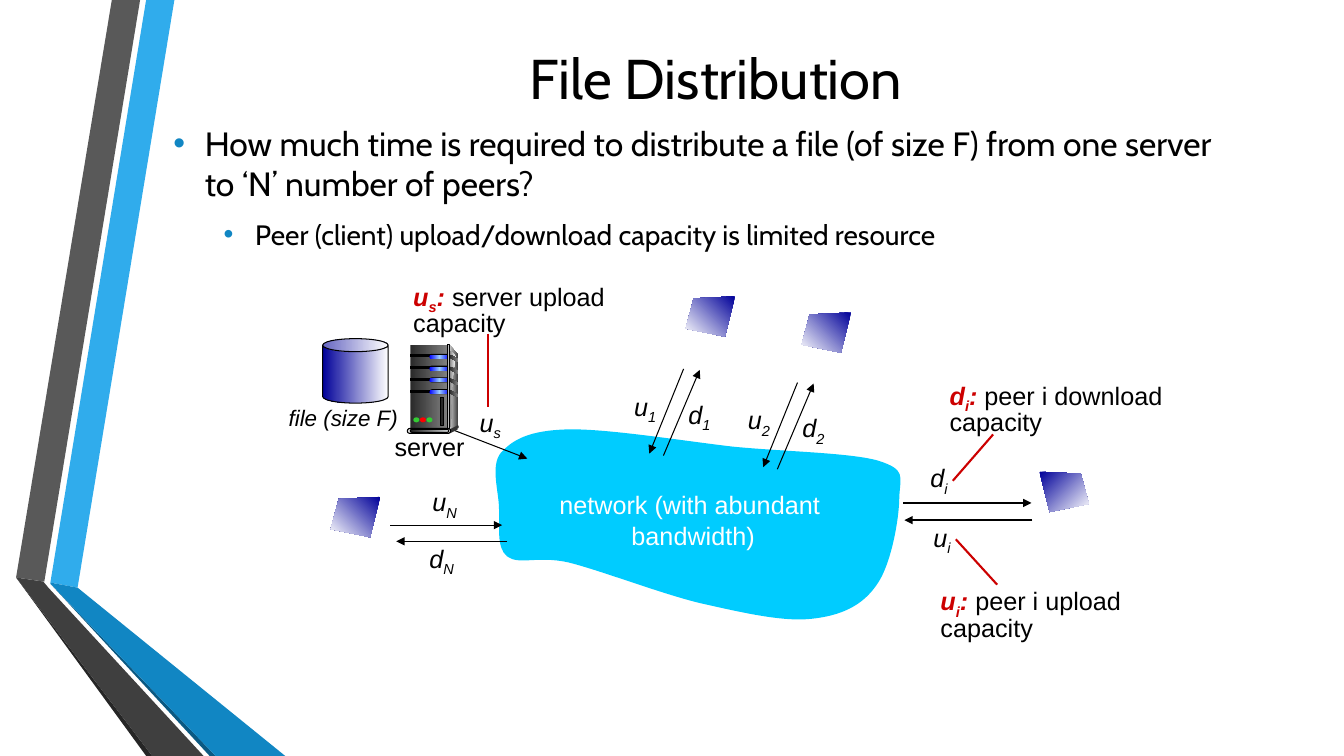
from copy import deepcopy

from lxml import etree
from pptx import Presentation, util as u
from pptx.dml import color
from pptx.enum import shapes as kinds, text as txt
from pptx.oxml import ns

HEX = dict(
    sky="30ACEC", blue="1186C3", deep="0B5982", grey="595959", dim="3F3F3F",
    coal="262626", cloud="00CCFF", navy="000099", white="FFFFFF", black="000000",
    red="CC0000", soot="292929", steel="808080", mist="DDDDDD", slate="333333",
    pale="F8F8F8", ink="212121", ash="CDD0D1", neon="0000FF", ice="99CCFF",
    green="33CC33", lamp="FF0000")

CELL = u.Inches(1)  # the grid has one-inch columns and rows
COLS, ROWS = 13.33, 7.5
MID = txt.PP_ALIGN.CENTER
KIND = kinds.MSO_SHAPE


def cells(*nums):
    return [u.Emu(round(n * CELL)) for n in nums]


def tint(name):
    return color.RGBColor.from_string(HEX[name])


def add(node, tag, **attrs):
    return etree.SubElement(node, ns.qn(tag), attrs)


def write(par, words, size=18, font="Arial", ink="black", bold=False, slant=False, sub=False):
    run = par.add_run()
    run.text = words
    face = run.font
    face.size, face.name, face.bold, face.italic = u.Pt(size), font, bold, slant
    face.color.rgb = tint(ink)
    if sub:
        run._r.get_or_add_rPr().set("baseline", "-25000")


class Board:
    def __init__(self, deck):
        self.slide = deck.slides.add_slide(deck.slide_layouts[6])
        self.all = self.slide.shapes

    def paint(self, shape, fill, line=None, angle=0):
        """Fill with one colour, or blend a list of them clockwise by angle."""
        shape.shadow.inherit = False
        if isinstance(fill, str):
            shape.fill.solid()
            shape.fill.fore_color.rgb = tint(fill)
        else:
            shape.fill.gradient()
            shape.fill.gradient_angle = (360 - angle) % 360
            stops = shape._element.spPr.find(".//" + ns.qn("a:gsLst"))
            for _ in fill[2:]:
                stops.append(deepcopy(stops[-1]))
            for k, stop in enumerate(shape.fill.gradient_stops):
                stop.position = k / (len(fill) - 1)
                stop.color.rgb = tint(fill[k])
        if line:
            shape.line.color.rgb, shape.line.width = tint(line), u.Pt(0.75)
        else:
            shape.line.fill.background()
        return shape

    def block(self, kind, x, y, w, h, fill, line=None, bend=None):
        shape = self.all.add_shape(kind, *cells(x, y, w, h))
        if bend is not None:
            shape.adjustments[0] = bend
        return self.paint(shape, fill, line)

    def outline(self, steps, fill, angle=0):
        """Draw a closed outline; a step of six numbers is a Bezier curve."""
        ends = [cells(*step[k:k + 2]) for step in steps for k in range(0, len(step), 2)]
        path = self.all.build_freeform(*ends[0], scale=1.0)
        path.add_line_segments(ends[1:], close=True)
        shape = path.convert_to_shape()
        legs = shape._element.spPr.iter(ns.qn("a:lnTo"))
        legs = iter(list(legs))
        for step in steps[1:]:
            leg = next(legs)
            if len(step) == 6:
                leg.addprevious(curve := etree.Element(ns.qn("a:cubicBezTo")))
                for part in (leg, next(legs), next(legs)):
                    curve.append(part[0])
                    part.getparent().remove(part)
        return self.paint(shape, fill, angle=angle)

    def line(self, start, end, ink="black", width=0.75, tip=True):
        link = self.all.add_connector(kinds.MSO_CONNECTOR.STRAIGHT, *cells(*start, *end))
        link.line.color.rgb, link.line.width = tint(ink), u.Pt(width)
        props = link._element.spPr
        if tip:
            add(props.get_or_add_ln(), "a:tailEnd", type="triangle")
        add(props, "a:effectLst")

    def frame(self, x, y, w, h, anchor=txt.MSO_ANCHOR.TOP):
        box = self.all.add_textbox(*cells(x, y, w, h)).text_frame
        box.word_wrap, box.vertical_anchor = True, anchor
        return box

    def note(self, x, y, w, h, *rows, **form):
        box = self.frame(x, y, w, h, form.pop("anchor", txt.MSO_ANCHOR.TOP))
        for k, row in enumerate(rows):
            par = box.add_paragraph() if k else box.paragraphs[0]
            par.alignment = MID
            write(par, row, **form)

    def rate(self, x, y, sign, sub):
        par = self.frame(x, y, 0.67, 0.4).paragraphs[0]
        write(par, sign, slant=True)
        write(par, sub, slant=True, sub=True)

    def legend(self, x, y, w, sign, sub, words):
        par = self.frame(x, y, w, 0.61).paragraphs[0]
        par.line_spacing = 0.85
        for part, low in ((sign, False), (sub, True), (":", False)):
            write(par, part, ink="red", bold=True, slant=True, sub=low)
        write(par, " " + words)

    def bullets(self, x, y, w, h, *rows):
        """Write rows of left indent in points, text size and words."""
        box = self.frame(x, y, w, h)
        for k, (left, size, words) in enumerate(rows):
            par = box.add_paragraph() if k else box.paragraphs[0]
            props = par._p.get_or_add_pPr()
            props.set("marL", str(u.Pt(left)))
            props.set("indent", str(u.Pt(-22.5)))
            add(add(props, "a:buClr"), "a:srgbClr", val=HEX["blue"])
            add(props, "a:buFont", typeface="Arial")
            add(props, "a:buChar", char="•")
            if k:
                par.level, par.space_before = k, u.Pt(10)
            write(par, words, size, "Cabin")

    def screen(self, x, y, flip=True):
        dots = [(0, 0), (0.41, 0.02), (0.49, 0.32), (0.1, 0.4)]
        self.outline([(x + (0.49 - a if flip else a), y + b) for a, b in dots],
                     ["navy", "white"], 135 if flip else 45)

    def server(self):
        top, high = 3.42, 0.84
        self.outline([(4.46, top), (4.55, 3.53), (4.54, 4.23), (4.45, 4.26)], ["mist", "slate"])
        self.block(KIND.RECTANGLE, 4.07, top, 0.37, high, ["soot", "steel"])
        self.outline([(4.47, 3.48), (4.47, 3.48, 4.48, 3.48, 4.52, 3.54),
                      (4.46, 3.85, 4.48, 4.25, 4.47, 4.24)], ["steel", "pale"])
        for bay in range(4):
            y = 3.52 + 0.117 * bay
            self.block(KIND.RECTANGLE, 4.07, y, 0.21, 0.02, "black", "black")
            self.block(KIND.ROUNDED_RECTANGLE, 4.26, y - 0.01, 0.21, 0.05, "black", bend=0.5)
            self.block(KIND.ROUNDED_RECTANGLE, 4.26, y, 0.2, 0.04, ["neon", "ice", "neon"], bend=0.5)
            self.outline([(4.46, y), (4.48, y, 4.5, y + 0.02, 4.54, y + 0.04),
                          (4.54, y + 0.05, 4.54, y + 0.05, 4.54, y + 0.07),
                          (4.54, y + 0.07, 4.5, y + 0.05, 4.46, y + 0.03)], ["soot", "steel"])
        self.block(KIND.RECTANGLE, 4.44, top, 0.02, high, ["slate", "mist", "slate"], "black")
        self.block(KIND.OVAL, 4.53, 4.22, 0.02, 0.03, "slate")
        self.outline([(4.46, 4.26), (4.46, 4.3), (4.54, 4.26), (4.54, 4.22)], "slate")
        self.block(KIND.ROUNDED_RECTANGLE, 4.04, 4.25, 0.43, 0.05, "mist", "black", 0.5)
        self.block(KIND.ROUNDED_RECTANGLE, 4.07, 4.26, 0.38, 0.03, ["ink", "ash"], "black", 0.5)
        for k, lamp in enumerate(("green", "lamp", "green")):
            self.block(KIND.OVAL, 4.1 + 0.065 * k, 4.14, 0.06, 0.05, lamp)
        self.block(KIND.RECTANGLE, 4.37, 3.94, 0.03, 0.28, "soot", "black")


def main():
    deck = Presentation()
    deck.slide_width, deck.slide_height = cells(COLS, ROWS)
    board = Board(deck)

    ribbons = [
        ("sky", [(0.5, 5.78), (0.77, 5.83), (1.73, 0), (1.45, 0)]),
        ("grey", [(1.39, 0), (1.11, 0), (0.16, 5.73), (0.44, 5.77)]),
        ("coal", [(0.16, 5.73), (1.45, ROWS), (1.51, ROWS)]),
        ("deep", [(0.5, 5.79), (2.08, ROWS), (2.14, ROWS)]),
        ("blue", [(0.5, 5.79), (2.14, ROWS), (2.83, ROWS), (0.77, 5.83), (0.5, 5.78)]),
        ("dim", [(2.02, ROWS), (0.48, 5.83), (0.43, 5.77), (0.16, 5.73), (1.51, ROWS)])]
    for fill, dots in ribbons:
        board.outline(dots, fill)

    board.note(1.62, 0.36, 10.96, 0.81, "File Distribution", size=40, font="Cabin",
               anchor=txt.MSO_ANCHOR.MIDDLE)
    board.bullets(
        1.62, 1.17, 10.85, 5.17,
        (22.5, 24, "How much time is required to distribute a file (of size F) from one server "
                   "to ‘N’ number of peers?"),
        (58.5, 20, "Peer (client) upload/download capacity is limited resource"))

    board.outline([
        (5.63, 4.26),
        (5.25, 4.27, 5.09, 4.36, 4.97, 4.49), (4.86, 4.62, 4.95, 4.88, 4.95, 5.05),
        (4.96, 5.22, 4.92, 5.43, 5.03, 5.52), (5.15, 5.61, 5.33, 5.51, 5.64, 5.58),
        (5.96, 5.66, 6.53, 5.88, 6.93, 5.98), (7.33, 6.07, 7.75, 6.17, 8.04, 6.14),
        (8.34, 6.11, 8.55, 6.01, 8.69, 5.81), (8.84, 5.61, 8.92, 5.14, 8.92, 4.93),
        (8.93, 4.72, 8.99, 4.66, 8.71, 4.57), (8.43, 4.49, 7.76, 4.48, 7.26, 4.43),
        (6.75, 4.37, 6.01, 4.25, 5.63, 4.26)], "cloud")
    board.note(5.39, 4.81, 2.9, 0.7, "network (with abundant", " bandwidth)", ink="white")
    board.note(3.62, 4.23, 1.28, 0.4, "server")
    board.note(2.64, 3.96, 1.53, 0.37, "file (size F)", size=16, slant=True)
    board.block(KIND.CAN, 3.2, 3.36, 0.65, 0.64, ["navy", "white"], "black", 0.202)

    board.legend(4, 2.76, 2.2, "u", "s", "server upload capacity")
    board.legend(9.23, 5.78, 2.83, "u", "i", "peer i upload capacity")
    board.legend(9.32, 3.74, 2.32, "d", "i", "peer i download capacity")
    for start, end in (((4.84, 3.31), (4.84, 4.04)), ((9.85, 4.31), (9.45, 4.77)),
                       ((9.89, 5.8), (9.48, 5.35))):
        board.line(start, end, "red", 1.5, tip=False)

    for k, peer in enumerate("12"):
        x, y = 1.13 * k, 0.135 * k
        board.rate(6.19 + x, 3.83 + y, "u", peer)
        board.rate(6.73 + x, 3.91 + y, "d", peer)
        board.line((6.78 + x, 3.66 + y), (6.44 + x, 4.5 + y))
        board.line((6.58 + x, 4.52 + y), (6.94 + x, 3.67 + y))
    for x, y, sign, sub in ((4.66, 3.99, "u", "s"), (4.19, 4.78, "u", "N"), (4.16, 5.34, "d", "N"),
                            (9.13, 4.54, "d", "i"), (9.16, 5.13, "u", "i")):
        board.rate(x, y, sign, sub)
    board.line((4.35, 4.21), (5.23, 4.55))
    board.line((3.87, 5.21), (4.98, 5.21))
    board.line((5.03, 5.37), (3.93, 5.37))
    board.line((8.96, 4.99), (10.23, 4.99), width=1.5)
    board.line((10.24, 5.16), (8.97, 5.16), width=1.5)

    board.server()
    for x, y in ((3.28, 4.93), (6.8, 2.94), (7.95, 3.1)):
        board.screen(x, y)
    board.screen(10.31, 4.68, flip=False)
    deck.save("out.pptx")


if __name__ == "__main__":
    main()
